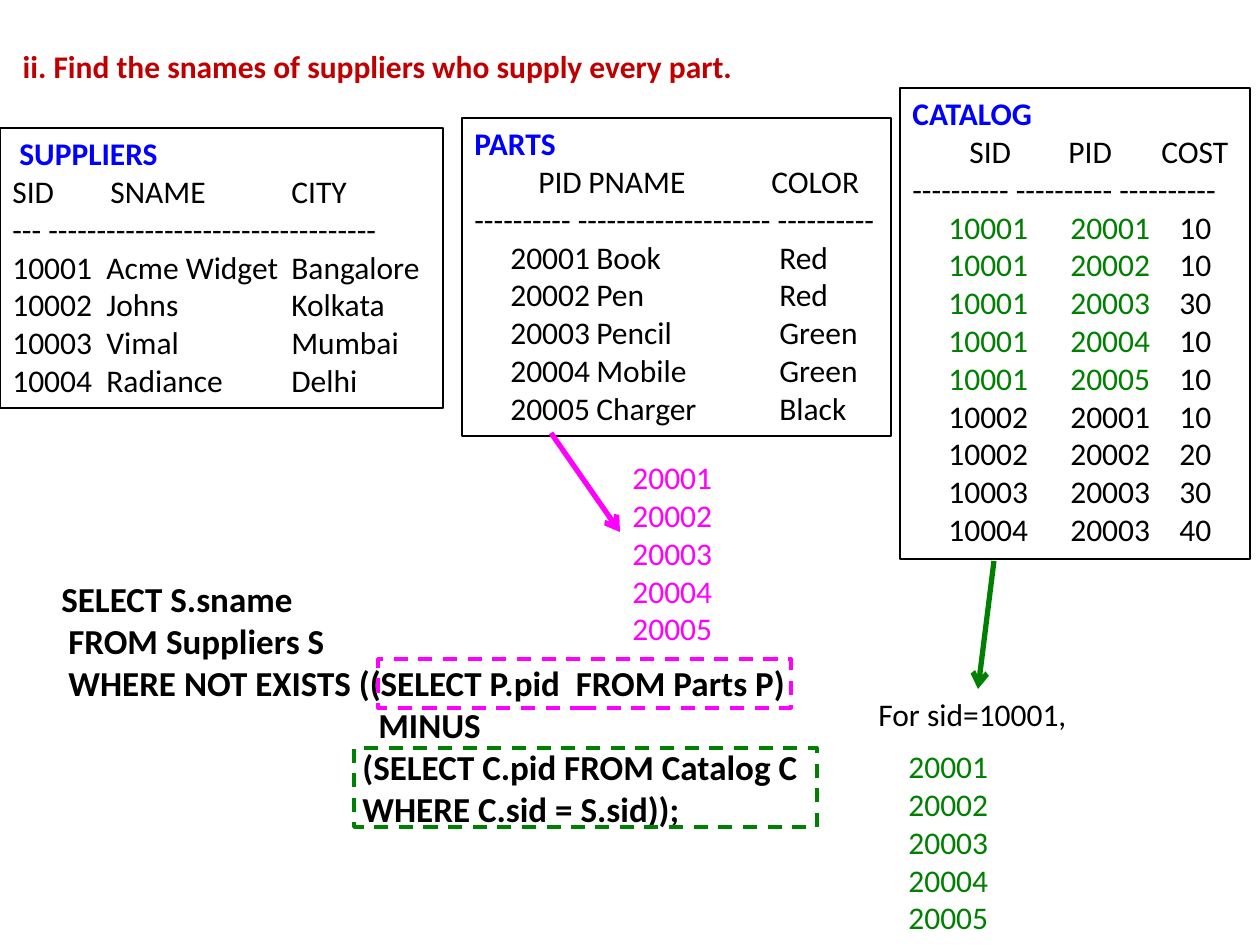
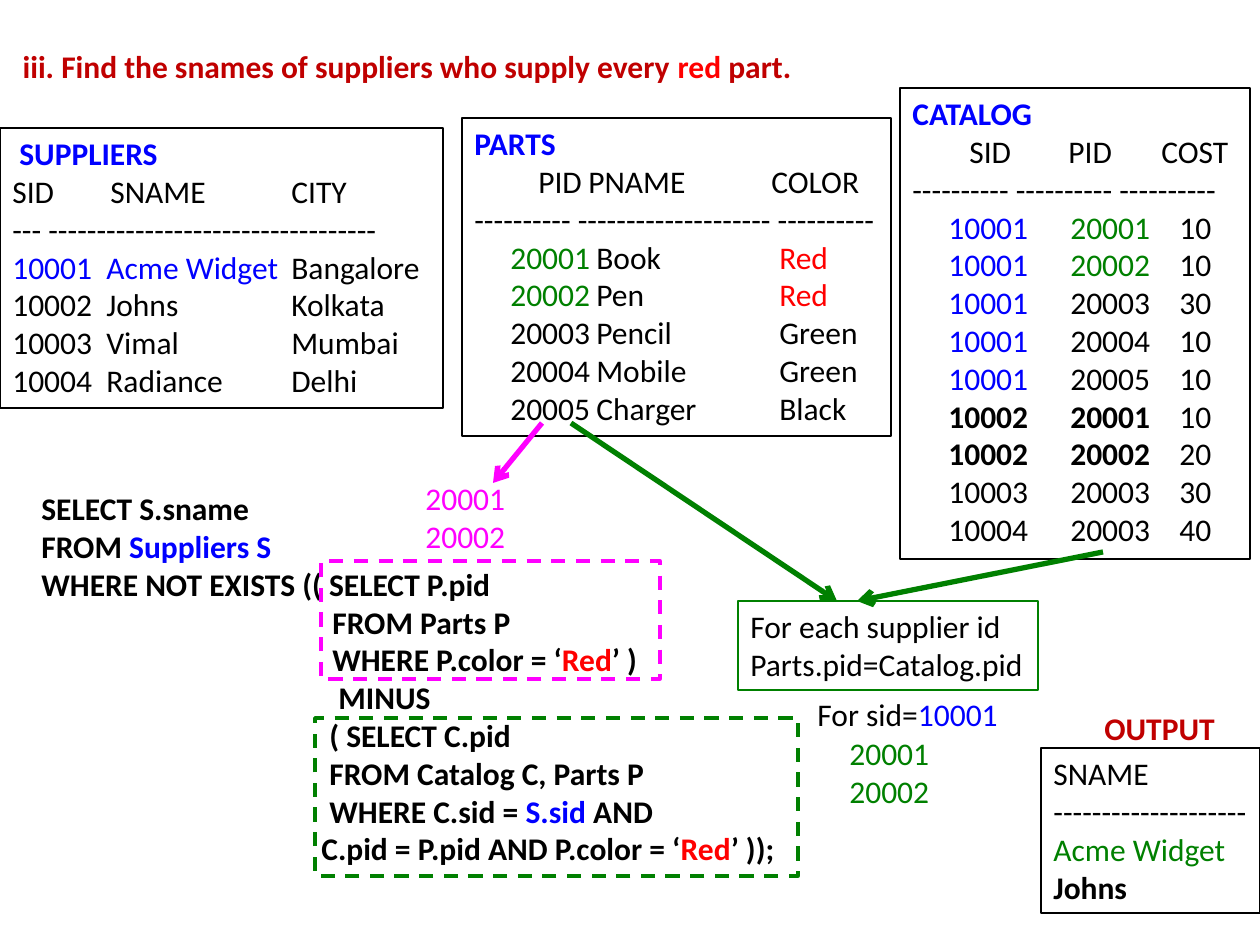
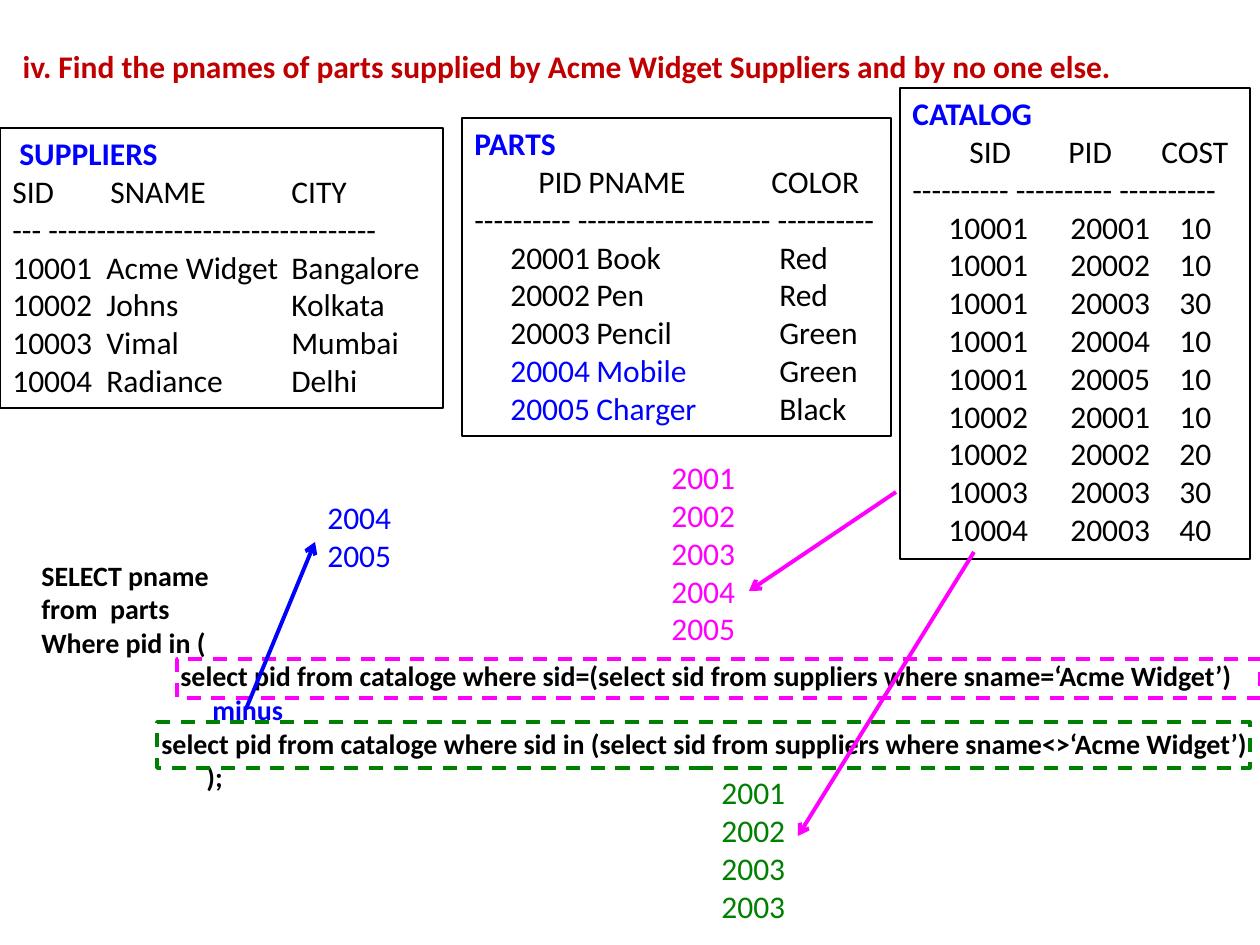
from itertools import product

from lxml import etree
from pptx import Presentation
from pptx import util as u
from pptx.dml.color import RGBColor
from pptx.enum import dml, shapes, text
from pptx.oxml.ns import qn

THEME = {
    "font": "Calibri",
    "title_size": 18,
    "body_size": 18,
    "colors": {
        "black": "000000",
        "crimson": "C00000",
        "red": "FF0000",
        "blue": "0000FF",
        "green": "008000",
        "magenta": "FF00FF",
    },
}
PX_PER_INCH = 126
PAGE_SIZE = (1260, 945)
TITLE_AREA = (10, 41, 1218, 50)

# Column positions are measured from the left edge of the text.
TABLES = {
    "CATALOG": {
        "area": (900, 88, 350, 471), "border": 1, "name_indent": 0,
        "header": ("SID", "PID", "COST"), "header_columns": (57, 156, 249),
        "rule": "---------- ---------- ----------",
        "columns": (36, 158, 267),
        "rows": [
            ("10001", "20001", "10"),
            ("10001", "20002", "10"),
            ("10001", "20003", "30"),
            ("10001", "20004", "10"),
            ("10001", "20005", "10"),
            ("10002", "20001", "10"),
            ("10002", "20002", "20"),
            ("10003", "20003", "30"),
            ("10004", "20003", "40"),
        ],
    },
    "PARTS": {
        "area": (462, 118, 429, 318), "border": 1, "name_indent": 0,
        "header": ("PID", "PNAME", "COLOR"), "header_columns": (64, 114, 297),
        "rule": "---------- -------------------- ----------",
        "columns": (36, 122, 305),
        "rows": [
            ("20001", "Book", "Red"),
            ("20002", "Pen", "Red"),
            ("20003", "Pencil", "Green"),
            ("20004", "Mobile", "Green"),
            ("20005", "Charger", "Black"),
        ],
    },
    "SUPPLIERS": {
        "area": (0, 128, 443, 280), "border": 1.5, "name_indent": 7,
        "header": ("SID", "SNAME", "CITY"), "header_columns": (0, 98, 279),
        "rule": "--- ----------------------------------",
        "columns": (0, 94, 279),
        "rows": [
            ("10001", "Acme Widget", "Bangalore"),
            ("10002", "Johns", "Kolkata"),
            ("10003", "Vimal", "Mumbai"),
            ("10004", "Radiance", "Delhi"),
        ],
    },
}


def mark(rows, columns, style):
    return {cell: style for cell in product(rows, columns)}


# A line of text is a list of pieces: plain words, or (words, style).
# Query lines are (indent, pieces); notes are (area, color, lines);
# frames are (area, color, width, dashed); arrows are (start, end, color, width).
PAGES = [
    {
        "title": ["ii. Find the snames of suppliers who supply every part."],
        "marks": {"CATALOG": mark(range(5), (0, 1), "green")},
        "query_area": (49, 571, 766, 267),
        "query_size": 20,
        "query": [
            (0, ["SELECT S.sname"]),
            (7, ["FROM Suppliers S"]),
            (7, ["WHERE NOT EXISTS ((SELECT P.pid  FROM Parts P)"]),
            (317, ["MINUS"]),
            (301, ["(SELECT C.pid FROM Catalog C"]),
            (301, ["WHERE C.sid = S.sid));"]),
        ],
        "frames": [
            ((378, 659, 413, 49), "magenta", 2, True),
            ((354, 748, 463, 79), "green", 2, True),
        ],
        "notes": [
            ((896, 741, 106, 204), "green",
             [["20001"], ["20002"], ["20003"], ["20004"], ["20005"]]),
            ((620, 452, 106, 204), "magenta",
             [["20001"], ["20002"], ["20003"], ["20004"], ["20005"]]),
            ((866, 689, 223, 50), "black", [["For sid=10001,"]]),
        ],
        "arrows": [
            ((551, 433), (620, 532), "magenta", 3),
            ((994, 561), (978, 689), "green", 3),
        ],
    },
    {
        "title": ["iii. Find the snames of suppliers who supply every ",
                  ("red ", "red"), "part."],
        "marks": {
            "CATALOG": {**mark(range(5), (0,), "blue"),
                        **mark((0, 1), (1,), "green"),
                        **mark((5, 6), (0, 1), "bold")},
            "PARTS": {**mark((0, 1), (0,), "green"),
                      **mark((0, 1), (2,), "red")},
            "SUPPLIERS": mark((0,), (0, 1), "blue"),
        },
        "query_area": (29, 483, 766, 394),
        "query_size": 18,
        "query": [
            (0, ["SELECT S.sname"]),
            (0, ["FROM ", ("Suppliers S", "blue")]),
            (0, ["WHERE NOT EXISTS (( SELECT P.pid"]),
            (291, ["FROM Parts P"]),
            (291, ["WHERE P.color = ‘", ("Red", "red"), "’ )"]),
            (297, ["MINUS"]),
            (288, ["( SELECT C.pid"]),
            (288, ["FROM Catalog C, Parts P"]),
            (288, ["WHERE C.sid = ", ("S.sid ", "blue"), "AND"]),
            (280, ["C.pid = P.pid AND P.color = ‘", ("Red", "red"), "’ ));"]),
        ],
        "frames": [
            ((321, 561, 339, 118), "magenta", 2, True),
            ((315, 718, 483, 158), "green", 2, True),
            ((1041, 748, 219, 165), "black", 1.5, False),
            ((738, 601, 300, 89), "green", 0.75, False),
        ],
        "notes": [
            ((837, 728, 106, 89), "green", [["20001"], ["20002"]]),
            ((413, 473, 106, 89), "magenta", [["20001"], ["20002"]]),
            ((805, 689, 223, 50), "black", [["For sid=", ("10001", "blue")]]),
            ((1041, 748, 219, 165), "black",
             [["SNAME"], ["--------------------"],
              [("Acme Widget", "green")], [("Johns", "bold")]]),
            ((1092, 703, 137, 50), "crimson", [[("OUTPUT", "bold")]]),
            ((738, 601, 300, 89), "black",
             [["For each supplier id"], ["Parts.pid=Catalog.pid"]]),
        ],
        "arrows": [
            ((542, 423), (493, 483), "magenta", 3),
            ((1103, 552), (857, 601), "green", 3),
            ((571, 423), (837, 601), "green", 3),
        ],
    },
    {
        "title": ["iv. Find the pnames of parts supplied by Acme Widget Suppliers "
                  "and by no one else."],
        "marks": {"PARTS": mark((3, 4), (0, 1), "blue")},
        "query_area": (29, 552, 1273, 251),
        "query_size": 16,
        "query": [
            (0, ["SELECT pname"]),
            (0, ["from  parts"]),
            (0, ["Where pid in ("]),
            (139, ["select pid from cataloge where sid=(select sid from suppliers "
                   "where sname=‘Acme Widget’)"]),
            (171, [("minus", "blue")]),
            (120, ["select pid from cataloge where sid in (select sid from suppliers "
                   "where sname<>‘Acme Widget’)"]),
            (165, [");"]),
        ],
        "frames": [
            ((177, 659, 1083, 39), "magenta", 2, True),
            ((157, 722, 1093, 46), "green", 2, True),
        ],
        "notes": [
            ((659, 452, 90, 204), "magenta",
             [["2001"], ["2002"], ["2003"], ["2004"], ["2005"]]),
            ((709, 767, 90, 165), "green",
             [["2001"], ["2002"], ["2003"], ["2003"]]),
            ((315, 492, 90, 89), "blue", [["2004"], ["2005"]]),
        ],
        "arrows": [
            ((896, 492), (749, 591), "magenta", 2.25),
            ((974, 552), (798, 836), "magenta", 2.25),
            ((246, 709), (315, 542), "blue", 2.25),
        ],
    },
]


def px(length):
    return u.Emu(round(length * 914400 / PX_PER_INCH))


def place(area):
    return [px(length) for length in area]


def rgb(name):
    return RGBColor.from_string(THEME["colors"][name])


def prepare(frame):
    frame.word_wrap = True
    frame.auto_size = text.MSO_AUTO_SIZE.NONE
    frame.vertical_anchor = text.MSO_ANCHOR.TOP
    frame.margin_right = 0


def next_para(frame):
    first = frame.paragraphs[0]
    return frame.add_paragraph() if first.runs else first


def write(para, pieces, color="black", bold=False, size=THEME["body_size"]):
    """Fill a paragraph; a piece's style is a colour name or "bold"."""
    para.alignment = text.PP_ALIGN.LEFT
    for piece in pieces:
        words, style = (piece, None) if isinstance(piece, str) else piece
        span = para.add_run()
        span.text = words
        span.font.name = THEME["font"]
        span.font.size = u.Pt(size)
        span.font.bold = bold or style == "bold"
        span.font.color.rgb = rgb(style if style in THEME["colors"] else color)


def indent(para, length):
    properties = para._p.get_or_add_pPr()
    properties.set("marL", str(px(length)))
    properties.set("indent", "0")


def write_cells(para, cells, columns, styles):
    """Write one table row, with each cell starting at its own tab stop."""
    stops = etree.SubElement(para._p.get_or_add_pPr(), qn("a:tabLst"))
    pieces = []
    for cell, column, style in zip(cells, columns, styles):
        if column:
            etree.SubElement(stops, qn("a:tab"), pos=str(px(column)), algn="l")
            cell = "\t" + cell
        pieces.append((cell, style))
    write(para, pieces)


def add_frame(page, area, color, width, dashed=False):
    box = page.shapes.add_shape(shapes.MSO_SHAPE.RECTANGLE, *place(area))
    box.shadow.inherit = False
    box.fill.background()
    box.line.color.rgb = rgb(color)
    box.line.width = u.Pt(width)
    if dashed:
        box.line.dash_style = dml.MSO_LINE.DASH
    return box


def add_text(page, area):
    frame = page.shapes.add_textbox(*place(area)).text_frame
    prepare(frame)
    return frame


def add_listing(page, name, marks):
    """Draw one database table as a framed listing."""
    table = TABLES[name]
    frame = add_frame(page, table["area"], "black", table["border"]).text_frame
    prepare(frame)
    heading = next_para(frame)
    write(heading, [name], "blue", bold=True)
    indent(heading, table["name_indent"])
    write_cells(next_para(frame), table["header"], table["header_columns"], [None] * 3)
    write(next_para(frame), [table["rule"]])
    for row, cells in enumerate(table["rows"]):
        styles = [marks.get((row, column)) for column in range(len(cells))]
        write_cells(next_para(frame), cells, table["columns"], styles)


def add_arrow(page, start, end, color, width):
    arrow = page.shapes.add_connector(shapes.MSO_CONNECTOR.STRAIGHT, *place(start + end))
    arrow.line.color.rgb = rgb(color)
    arrow.line.width = u.Pt(width)
    etree.SubElement(arrow.line._get_or_add_ln(), qn("a:tailEnd"), type="arrow")
    etree.SubElement(arrow._element.spPr, qn("a:effectLst"))


def add_page(deck, content):
    page = deck.slides.add_slide(deck.slide_layouts[5])
    title = page.shapes.title
    title.left, title.top, title.width, title.height = place(TITLE_AREA)
    prepare(title.text_frame)
    write(title.text_frame.paragraphs[0], content["title"], "crimson", True,
          THEME["title_size"])

    query = add_text(page, content["query_area"])
    for offset, pieces in content["query"]:
        para = next_para(query)
        write(para, pieces, bold=True, size=content["query_size"])
        indent(para, offset)

    for name in TABLES:
        add_listing(page, name, content["marks"].get(name, {}))
    framed = {}
    for area, *border in content["frames"]:
        framed[area] = add_frame(page, area, *border).text_frame
    for area, color, lines in content["notes"]:
        if area in framed:
            frame = framed[area]
            prepare(frame)
        else:
            frame = add_text(page, area)
        for pieces in lines:
            write(next_para(frame), pieces, color)
    for arrow in content["arrows"]:
        add_arrow(page, *arrow)


def main():
    deck = Presentation()
    deck.slide_width, deck.slide_height = place(PAGE_SIZE)
    for content in PAGES:
        add_page(deck, content)
    deck.save("out.pptx")


if __name__ == "__main__":
    main()
